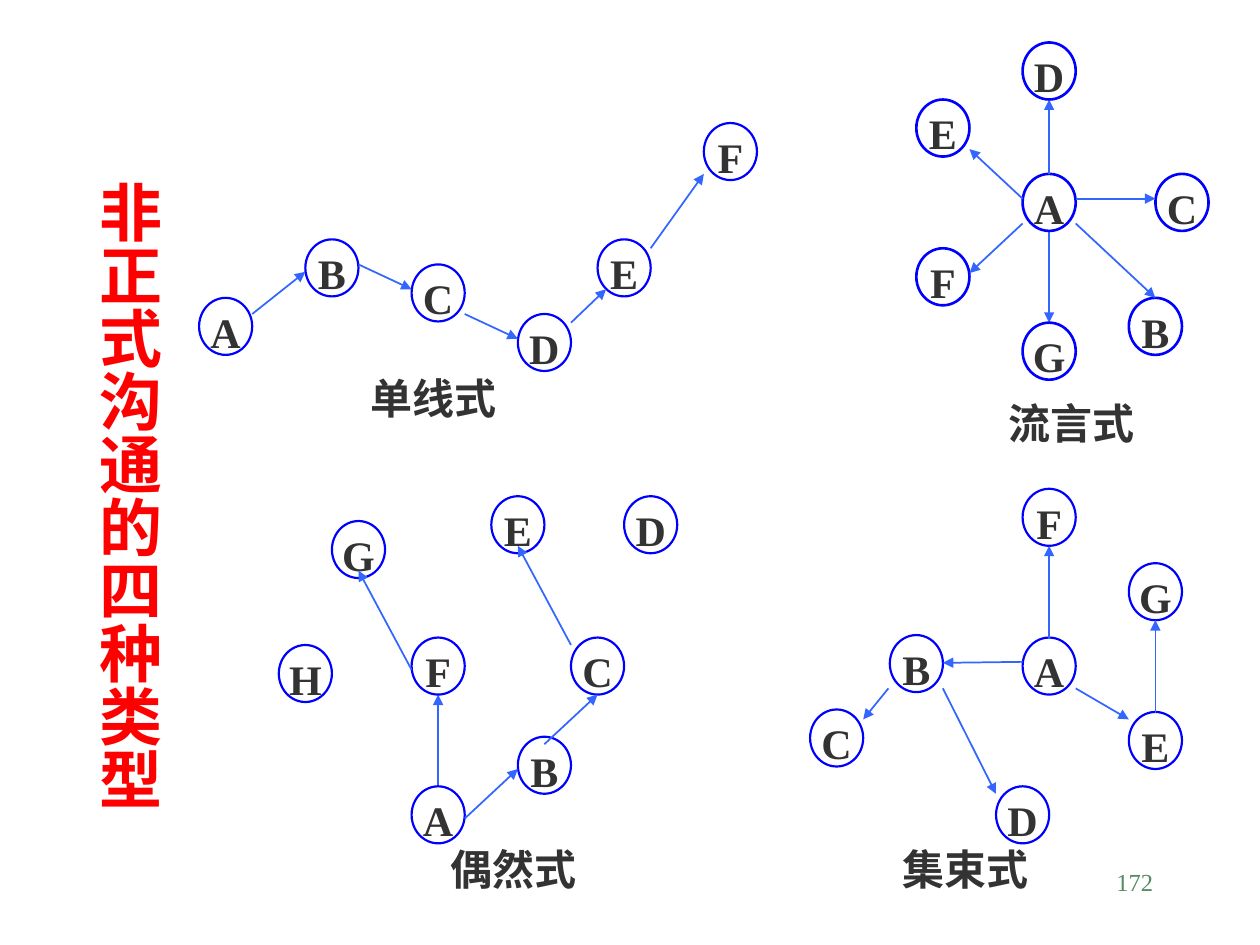
from pptx import Presentation
from pptx.dml.color import RGBColor
from pptx.enum.shapes import MSO_CONNECTOR, MSO_SHAPE
from pptx.enum.text import MSO_ANCHOR, PP_ALIGN
from pptx.oxml.ns import qn
from pptx.util import Inches, Pt

STRAIGHT = MSO_CONNECTOR.STRAIGHT
OVAL = MSO_SHAPE.OVAL
TOP = MSO_ANCHOR.TOP
LEFT, CENTER, RIGHT, JUSTIFY = PP_ALIGN.LEFT, PP_ALIGN.CENTER, PP_ALIGN.RIGHT, PP_ALIGN.JUSTIFY

COLORS = {
    "paper": "FFFFFF", "ring": "0000FF", "arrow": "3366FF",
    "ink": "333333", "title": "FF0000", "page": "578963",
}
FONT = "Times New Roman"
COL, ROW = 7.59 / 36, 5.51 / 28
GRID_LEFT, GRID_TOP = 1.58, 0.79
NODE_COLS, NODE_ROWS = 2, 2.3
LABEL_COLS, LABEL_ROWS = 6, 2

NETWORKS = [
    {
        "label": ("单线式", 6, 11), "ring": 1.25, "under": [],
        "nodes": {"A": (0, 8), "B": (4, 5.64), "C": (8, 6.65), "D": (12, 8.65),
                  "E": (15, 5.64), "F": (19, 0.95)},
        "over": [(2, 8.65, 4, 6.95), (6, 6.65, 8, 7.65), (10, 8.65, 12, 9.65),
                 (17, 6, 19, 3), (14, 9, 15.32, 7.65)],
    },
    {
        "label": ("集束式", 26, 30), "ring": 1.25, "under": [],
        "nodes": {"A": (31, 21.7), "B": (26, 21.6), "C": (23, 24.6), "D": (30, 27.7),
                  "E": (35, 24.7), "F": (31, 15.7), "G": (35, 18.7)},
        "over": [(32, 21.75, 32, 18), (36, 24.75, 36, 21), (33, 23.75, 35, 25),
                 (31, 22.68, 28, 22.72), (28, 23.75, 30, 28), (25.95, 23.75, 25, 25)],
    },
    {
        "label": ("偶然式", 9, 30), "ring": 1.25, "under": [(9, 28, 9, 24)],
        "nodes": {"A": (8, 27.7), "B": (12, 25.7), "C": (14, 21.7), "D": (16, 16),
                  "E": (11, 16), "F": (8, 21.7), "G": (5, 17), "H": (3, 22)},
        "over": [(10, 29, 12, 27), (13, 26, 15, 24), (14, 22, 12, 18), (8, 23, 6, 19)],
    },
    {
        "label": ("流言式", 30, 12), "ring": 1.5, "under": [(32, 5, 32, 9)],
        "nodes": {"A": (31, 3), "B": (35, 8), "C": (36, 3), "D": (31, -2.3),
                  "E": (27, 0), "F": (27, 6), "G": (31, 9)},
        "over": [(32, 3, 32, 0), (33, 5, 36, 8), (33, 4, 36, 4),
                 (31, 4, 29, 2), (31, 5, 29, 7)],
    },
]

prs = Presentation()
prs.slide_width, prs.slide_height = Inches(10), Inches(7.5)
slide = prs.slides.add_slide(prs.slide_layouts[6])
shapes = slide.shapes


def write(holder, text, size, color, align, side, edge, bold=True, wrap=True):
    frame = holder.text_frame
    frame.word_wrap = wrap
    frame.vertical_anchor = TOP
    frame.margin_left = frame.margin_right = Inches(side)
    frame.margin_top = frame.margin_bottom = Inches(edge)
    paragraph = frame.paragraphs[0]
    paragraph.alignment = align
    run = paragraph.add_run()
    run.text = text
    run.font.name = FONT
    run.font.size = Pt(size)
    run.font.bold = bold
    run.font.color.rgb = RGBColor.from_string(COLORS[color])


def draw_arrows(routes):
    for start_col, start_row, end_col, end_row in routes:
        arrow = shapes.add_connector(
            STRAIGHT,
            Inches(GRID_LEFT + start_col * COL), Inches(GRID_TOP + start_row * ROW),
            Inches(GRID_LEFT + end_col * COL), Inches(GRID_TOP + end_row * ROW))
        arrow.line.color.rgb = RGBColor.from_string(COLORS["arrow"])
        arrow.line.width = Pt(1)
        head = arrow.line._get_or_add_ln().makeelement(qn("a:tailEnd"), {"type": "triangle"})
        arrow.line._get_or_add_ln().append(head)
        properties = arrow._element.spPr
        properties.append(properties.makeelement(qn("a:effectLst"), {}))


title = shapes.add_textbox(Inches(0.57), Inches(1.34), Inches(0.8), Inches(5.1))
write(title, "非正式沟通的四种类型", 36, "title", LEFT, 0.05, 0.1, wrap=False)
title.text_frame._txBody.bodyPr.set("vert", "eaVert")

for network in NETWORKS:
    draw_arrows(network["under"])
    for letter, (col, row) in network["nodes"].items():
        member = shapes.add_shape(
            OVAL, Inches(GRID_LEFT + col * COL), Inches(GRID_TOP + row * ROW),
            Inches(NODE_COLS * COL), Inches(NODE_ROWS * ROW))
        member.shadow.inherit = False
        member.fill.solid()
        member.fill.fore_color.rgb = RGBColor.from_string(COLORS["paper"])
        member.line.color.rgb = RGBColor.from_string(COLORS["ring"])
        member.line.width = Pt(network["ring"])
        write(member, letter, 24, "ink", CENTER, 0, 0)
    draw_arrows(network["over"])
    name, col, row = network["label"]
    label = shapes.add_textbox(
        Inches(GRID_LEFT + col * COL), Inches(GRID_TOP + row * ROW),
        Inches(LABEL_COLS * COL), Inches(LABEL_ROWS * ROW))
    write(label, name, 24, "ink", JUSTIFY, 0.1, 0)

page_number = shapes.add_textbox(Inches(7.17), Inches(6.83), Inches(2.08), Inches(0.5))
write(page_number, "172", 14, "page", RIGHT, 0.1, 0.05, bold=False)

prs.save("out.pptx")
